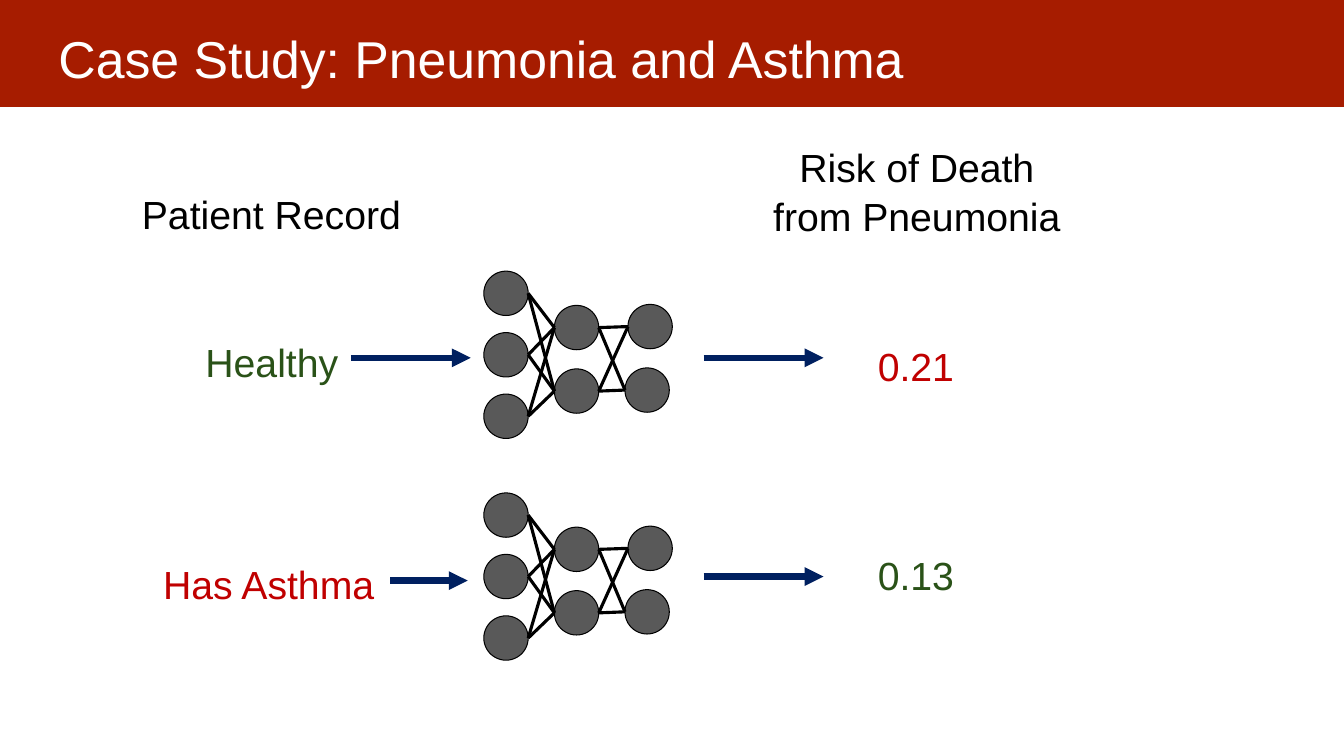
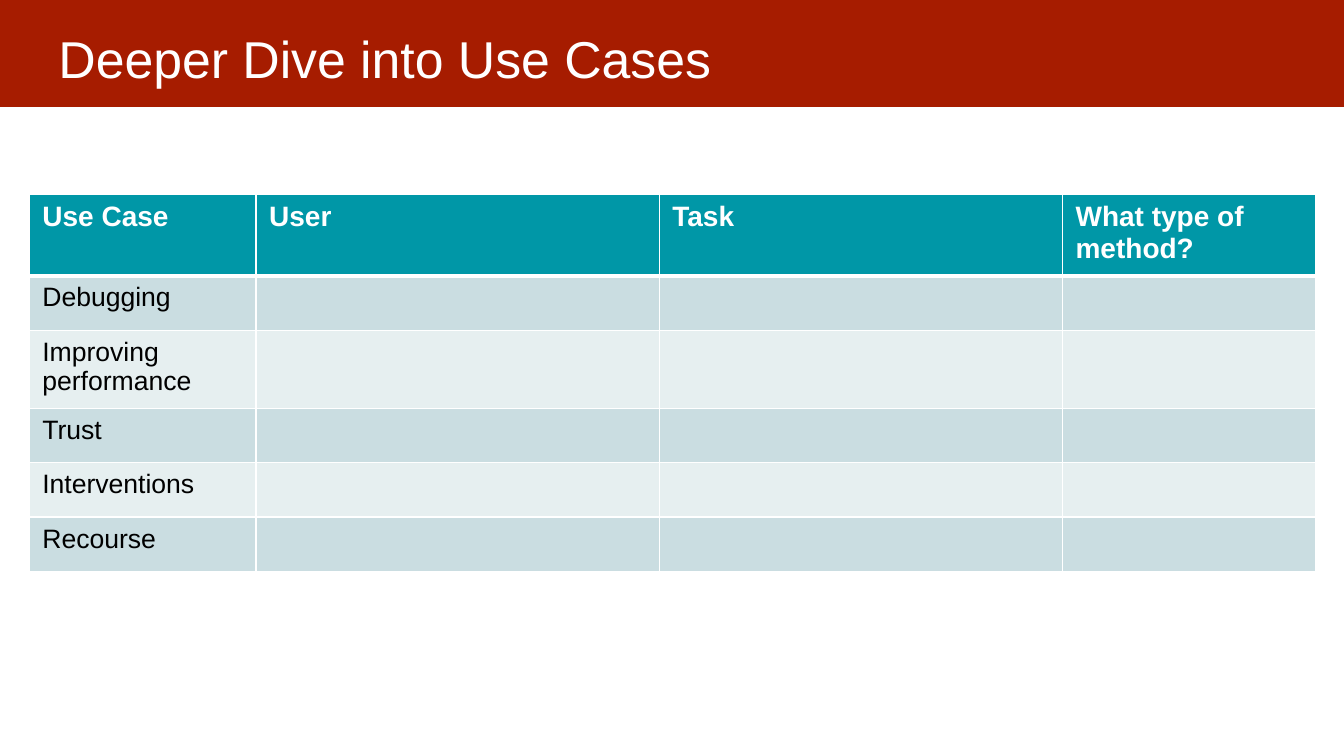
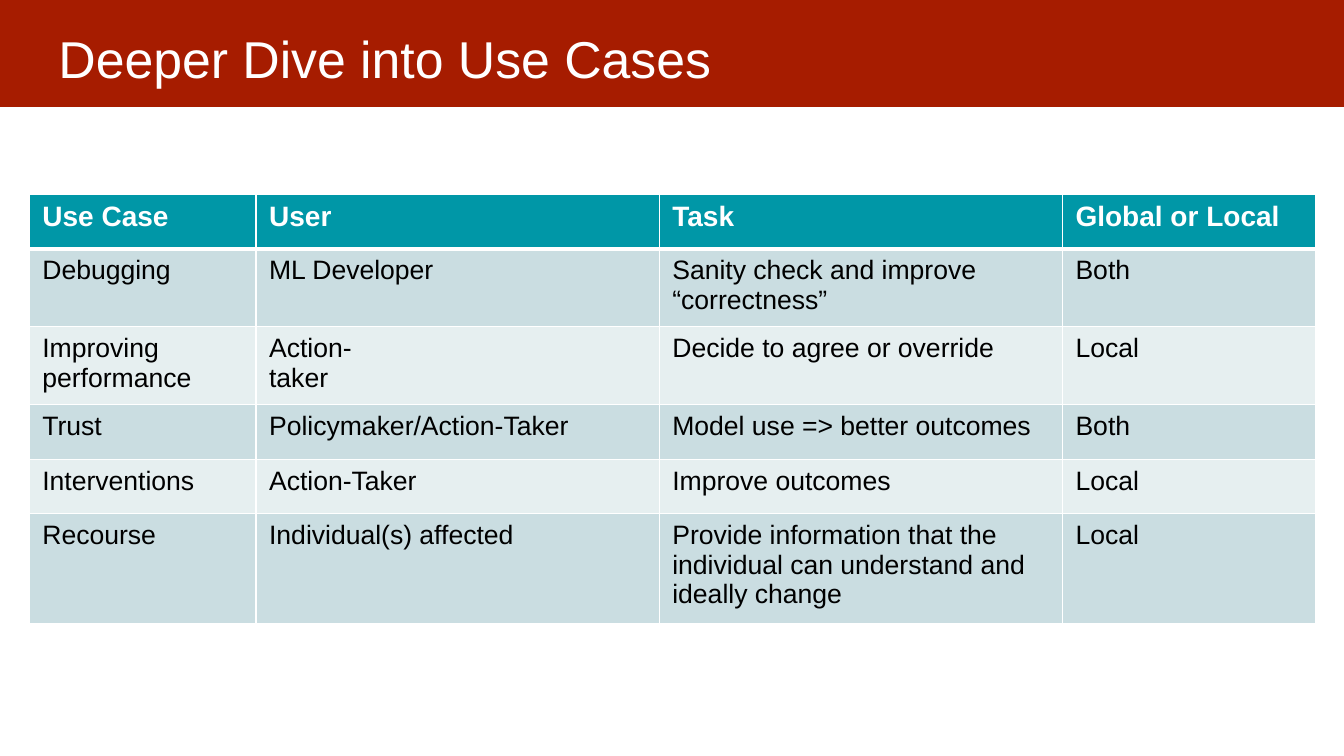
import itertools

import lxml.etree
import pptx
import pptx.dml.color
import pptx.enum.shapes
import pptx.enum.text
import pptx.oxml.ns
import pptx.util

FONT = "Arial"
INK = {
    "band": "A61C00", "white": "FFFFFF", "black": "000000",
    "good": "2A5218", "bad": "C00000", "node": "595959", "arrow": "002060",
    "head": "0097A7", "odd": "CADDE1", "even": "E6EFF0",
}
SHAPE = pptx.enum.shapes.MSO_SHAPE
ALIGN = pptx.enum.text.PP_ALIGN

# Grid: square cells, ten to the inch; the slide is 133.33 by 75 cells
WIDE, HIGH = 133.33, 75
NODE = 4.4  # diameter of a network node


def cells(*nums):
    return [pptx.util.Inches(num / 10) for num in nums]


def tint(name):
    return pptx.dml.color.RGBColor.from_string(INK[name])


def tag(host, name, **attrs):
    return lxml.etree.SubElement(host, pptx.oxml.ns.qn(name), **attrs)


# Text
def write(frame, lines, size, ink, bold=False, align=ALIGN.LEFT, pitch=None):
    for i, line in enumerate(lines):
        para = frame.paragraphs[0] if i == 0 else frame.add_paragraph()
        para.alignment = align
        para.line_spacing = pitch
        run = para.add_run()
        run.text = line
        run.font.name = FONT
        run.font.size = pptx.util.Pt(size)
        run.font.bold = bold
        run.font.color.rgb = tint(ink)


def label(slide, box, lines, ink="black", align=ALIGN.LEFT):
    frame = slide.shapes.add_textbox(*cells(*box)).text_frame
    frame.word_wrap = False
    frame.auto_size = pptx.enum.text.MSO_AUTO_SIZE.SHAPE_TO_FIT_TEXT
    frame.margin_top = frame.margin_bottom = cells(0.7)[0]
    write(frame, lines, 28, ink, align=align, pitch=1.04)


# Shapes and lines
def block(shapes, kind, box, fill, edge=None):
    shape = shapes.add_shape(kind, *cells(*box))
    shape.shadow.inherit = False
    shape.fill.solid()
    shape.fill.fore_color.rgb = tint(fill)
    if edge:
        shape.line.color.rgb = tint(edge)
        shape.line.width = pptx.util.Pt(0.75)
    else:
        shape.line.fill.background()


def link(shapes, start, end, ink="black", width=2.25, arrow=False):
    straight = pptx.enum.shapes.MSO_CONNECTOR.STRAIGHT
    line = shapes.add_connector(straight, *cells(*start, *end))
    line.line.color.rgb = tint(ink)
    line.line.width = pptx.util.Pt(width)
    props = line._element.spPr
    if arrow:
        tag(props.find(pptx.oxml.ns.qn("a:ln")), "a:tailEnd", type="triangle")
    tag(props, "a:effectLst")


def arrow(slide, left, right, row):
    link(slide.shapes, (left, row), (right, row), "arrow", 4.5, True)


def net(slide, top):
    """Three layers of nodes, each joined in full to the next."""
    layers = [
        [(48, top + 6.1 * i) for i in range(3)],
        [(55, top + 3.4 + 6.3 * i) for i in range(2)],
        [(62.3 - 0.3 * i, top + 3.3 + 6.3 * i) for i in range(2)],
    ]
    shapes = slide.shapes.add_group_shape().shapes
    for col, row in itertools.chain(*layers):
        block(shapes, SHAPE.OVAL, (col, row, NODE, NODE), "node", "black")
    for near, far in itertools.pairwise(layers):
        for (x, y), (col, row) in itertools.product(near, far):
            link(shapes, (x + NODE, y + NODE / 2), (col, row + NODE / 2))


# Table
def edge(cell, sides):
    props = cell._tc.get_or_add_tcPr()
    for i, (side, width) in enumerate(sides.items()):
        line = tag(props, "a:ln" + side, w=str(pptx.util.Pt(width)))
        tag(tag(line, "a:solidFill"), "a:srgbClr", val=INK["white"])
        props.insert(i, line)


def grid(slide, rows):
    wides = (22.5, 40, 40, 25.1)
    highs = (5.4, 5.4, 7.6, 5.4, 5.4, 5.4)
    box = cells(2.9, 19.3, sum(wides), sum(highs))
    table = slide.shapes.add_table(len(rows), len(wides), *box).table
    for col, wide in zip(table.columns, cells(*wides)):
        col.width = wide
    for row, high in zip(table.rows, cells(*highs)):
        row.height = high
    for r, row in enumerate(rows):
        head = r == 0
        fill = "head" if head else ("even", "odd")[r % 2]
        for c, text in enumerate(row):
            cell = table.cell(r, c)
            cell.fill.solid()
            cell.fill.fore_color.rgb = tint(fill)
            cell.margin_left = cell.margin_right = cells(1.3)[0]
            cell.margin_top = cell.margin_bottom = cells(0.7)[0]
            edge(cell, {"L": 1, "R": 1, "T": 3 if r == 1 else 1,
                        "B": 3 if head else 1})
            if text:
                write(cell.text_frame, text.split("\n"), 20 if head else 19,
                      "white" if head else "black", head)


# Shared band and title
def page(deck, title):
    slide = deck.slides.add_slide(deck.slide_layouts[6])
    block(slide.shapes, SHAPE.RECTANGLE, (-0.2, -0.4, 133.6, 11), "band")
    frame = slide.shapes.add_textbox(*cells(4.5, 0.9, 124.2, 8.3)).text_frame
    frame.word_wrap = True
    frame.margin_left = frame.margin_right = cells(1.3)[0]
    frame.margin_top = cells(1.8)[0]
    write(frame, [title], 37, "white")
    return slide


def study(deck):
    slide = page(deck, "Case Study: Pneumonia and Asthma")
    label(slide, (13.1, 18, 28, 5.7), ["Patient Record"])
    label(slide, (75.5, 13.3, 30.9, 10.4),
          ["Risk of Death", "from Pneumonia"], align=ALIGN.CENTER)
    label(slide, (19.4, 32.7, 15.4, 5.7), ["Healthy"], "good")
    label(slide, (15.2, 54.7, 23.4, 5.7), ["Has Asthma"], "bad")
    for top in (26.9, 48.9):
        net(slide, top)
    arrow(slide, 34.8, 46.7, 35.5)
    arrow(slide, 38.7, 46.4, 57.6)
    for row in (35.5, 57.2):
        arrow(slide, 69.8, 81.7, row)
    label(slide, (86.1, 33.1, 9.7, 5.7), ["0.21"], "bad")
    label(slide, (86.1, 53.8, 9.7, 5.7), ["0.13"], "good")


def cases(deck, last, facts):
    names = ["Debugging", "Improving performance", "Trust",
             "Interventions", "Recourse"]
    slide = page(deck, "Deeper Dive into Use Cases")
    grid(slide, [("Use Case", "User", "Task", last)]
         + [(name, *fact) for name, fact in zip(names, facts)])


def main():
    deck = pptx.Presentation()
    deck.slide_width, deck.slide_height = cells(WIDE, HIGH)
    study(deck)
    cases(deck, "What type of method?", [("", "", "")] * 5)
    cases(deck, "Global or Local", [
        ("ML Developer", "Sanity check and improve “correctness”", "Both"),
        ("Action-\ntaker", "Decide to agree or override", "Local"),
        ("Policymaker/Action-Taker", "Model use => better outcomes", "Both"),
        ("Action-Taker", "Improve outcomes", "Local"),
        ("Individual(s) affected", "Provide information that the individual "
         "can understand and ideally change", "Local"),
    ])
    deck.save("out.pptx")


if __name__ == "__main__":
    main()
